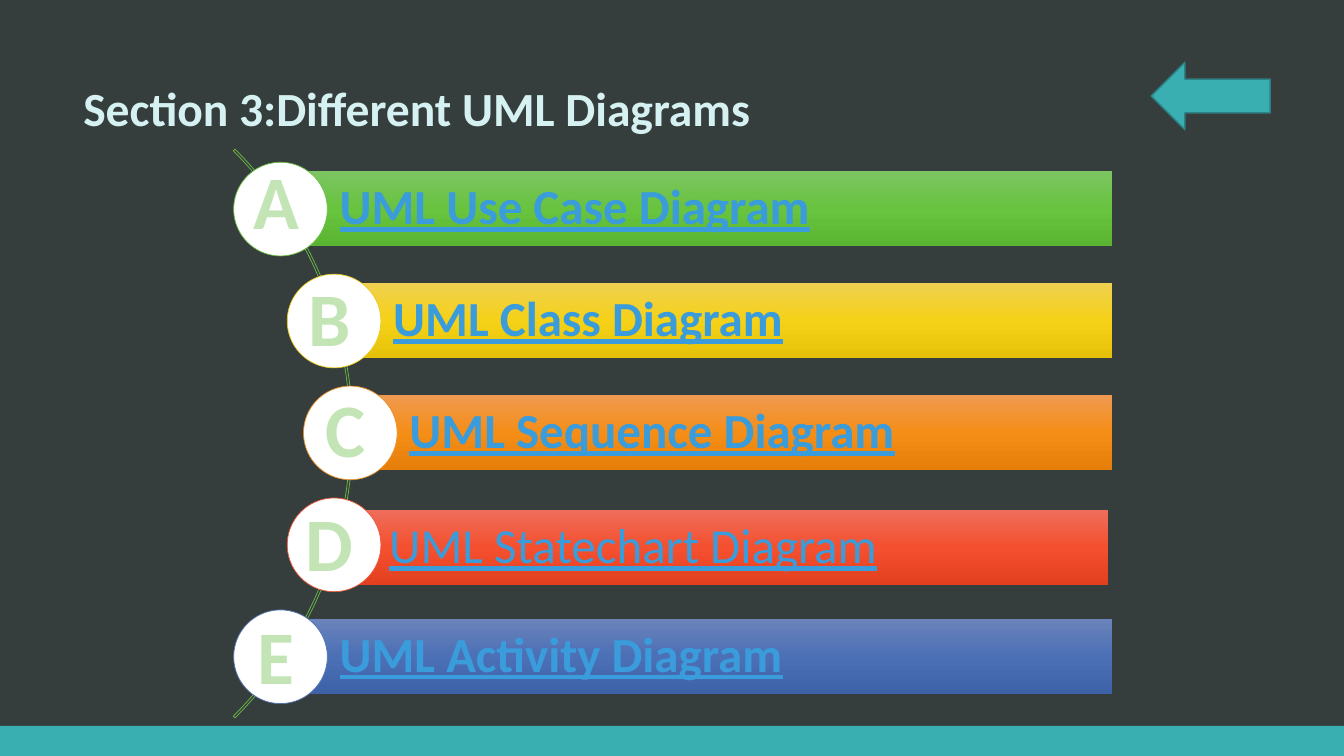
"""Build the slide that lists the UML diagrams of section 3."""
from copy import deepcopy
from pptx import Presentation
from pptx.dml.color import RGBColor as RGB
from pptx.enum.shapes import MSO_SHAPE as Shape
from pptx.enum.text import MSO_ANCHOR as Anchor, PP_ALIGN as Align
from pptx.oxml.ns import qn
from pptx.util import Cm, Pt

DARK = RGB(0x36, 0x3D, 0x3D)
TEAL = RGB(0x3A, 0xAF, 0xB2)
EDGE = RGB(0x2B, 0x81, 0x84)
PALE = RGB(0xD6, 0xF1, 0xF2)
WHITE = RGB(0xFF, 0xFF, 0xFF)
GREEN = RGB(0x6A, 0xBD, 0x45)
MINT = RGB(0xC3, 0xE5, 0xB5)
BLUE = RGB(0x3A, 0x9C, 0xDB)
LIME = [RGB(0x7C, 0xC5, 0x62), RGB(0x68, 0xC3, 0x3F), RGB(0x5A, 0xB4, 0x31)]
GOLD = [RGB(0xEF, 0xD1, 0x50), RGB(0xF5, 0xD1, 0x17), RGB(0xE5, 0xC1, 0x09)]
AMBER = [RGB(0xEF, 0x9A, 0x50), RGB(0xF5, 0x8E, 0x17), RGB(0xE5, 0x7F, 0x09)]
RED = [RGB(0xEF, 0x6D, 0x5A), RGB(0xF4, 0x50, 0x2F), RGB(0xE3, 0x40, 0x20)]
NAVY = [RGB(0x6A, 0x83, 0xBA), RGB(0x4C, 0x70, 0xB6), RGB(0x3E, 0x62, 0xA7)]
GOLD_RIM = RGB(0xEB, 0xCA, 0x21)
AMBER_RIM = RGB(0xEB, 0x8D, 0x21)
RED_RIM = RGB(0xEB, 0x56, 0x38)
NAVY_RIM = RGB(0x51, 0x72, 0xB1)

deck = Presentation()
deck.slide_width, deck.slide_height = Cm(33.87), Cm(19.05)
slide = deck.slides.add_slide(deck.slide_layouts[6])
slide.background.fill.solid()
slide.background.fill.fore_color.rgb = DARK


def draw(kind, left, top, width, height, fill=None, line=None, weight=0.5):
    shape = slide.shapes.add_shape(kind, Cm(left), Cm(top), Cm(width), Cm(height))
    shape.shadow.inherit = False
    if fill is None:
        shape.fill.background()
    else:
        shape.fill.solid()
        shape.fill.fore_color.rgb = fill
    if line is None:
        shape.line.fill.background()
    else:
        shape.line.color.rgb = line
        shape.line.width = Pt(weight)
    return shape


def write(shape, text, size, color, anchor, align=Align.LEFT, bold=True):
    frame = shape.text_frame
    frame.word_wrap = True
    frame.vertical_anchor = anchor
    para = frame.paragraphs[0]
    para.text = text
    para.alignment = align
    font = para.font
    font.name, font.size, font.bold = "Calibri", Pt(size), bold
    font.color.rgb = color
    return para


draw(Shape.RECTANGLE, 0, 18.29, 33.87, 0.76, TEAL)
title = slide.shapes.add_textbox(Cm(1.85), Cm(1.27), Cm(26.42), Cm(2.31))
write(title, "Section 3:Different UML Diagrams", 34, PALE, Anchor.BOTTOM).line_spacing = 0.9
draw(Shape.LEFT_ARROW, 29.01, 1.57, 3, 1.7, TEAL, EDGE, 1)

arc = draw(Shape.BLOCK_ARC, -11.38, 0.79, 20.27, 20.27, line=GREEN)
for i, value in enumerate((189, 27, 0.003)):
    arc.adjustments[i] = value

STEP, RIGHT, DISC = 2.82, 28.02, 2.36
rows = [
    ("A", "UML Use Case Diagram", 5.89, 3.76, LIME, GREEN),
    ("B", "UML Class Diagram", 7.24, 6.71, GOLD, GOLD_RIM),
    ("C", "UML Sequence Diagram", 7.65, 9.5, AMBER, AMBER_RIM),
    ("D", "UML Statechart Diagram", 7.24, 12.37, RED, RED_RIM),
    ("E", "UML Activity Diagram", 5.89, 15.21, NAVY, NAVY_RIM),
]
for i, (mark, name, left, high, shades, rim) in enumerate(rows):
    start = left + 1.17
    dx, dy = (-0.1, 0.08) if mark == "D" else (0, 0)
    bar = draw(Shape.RECTANGLE, start + dx, 4.32 + i * STEP + dy, RIGHT - start, 1.88)
    bar.fill.gradient()
    bar.fill.gradient_angle = 270
    stops = bar._element.spPr.find(qn("a:gradFill")).find(qn("a:gsLst"))
    stops.append(deepcopy(stops[-1]))
    for n, (stop, shade) in enumerate(zip(bar.fill.gradient_stops, shades)):
        stop.position = n / 2
        stop.color.rgb = shade
    para = write(bar, name, 35, BLUE, Anchor.MIDDLE, bold=mark != "D")
    para.line_spacing = 0.9
    para.font.underline = True
    frame = bar.text_frame
    frame.margin_left = Cm(1.5)
    frame.margin_top = frame.margin_right = frame.margin_bottom = Cm(0.25)
    draw(Shape.OVAL, left, 4.09 + i * STEP, DISC, DISC, WHITE, rim)
    label = slide.shapes.add_textbox(Cm(left - 0.06), Cm(high), Cm(2.26), Cm(2.57))
    write(label, mark, 54, MINT, Anchor.TOP, Align.CENTER)

deck.save("out.pptx")
